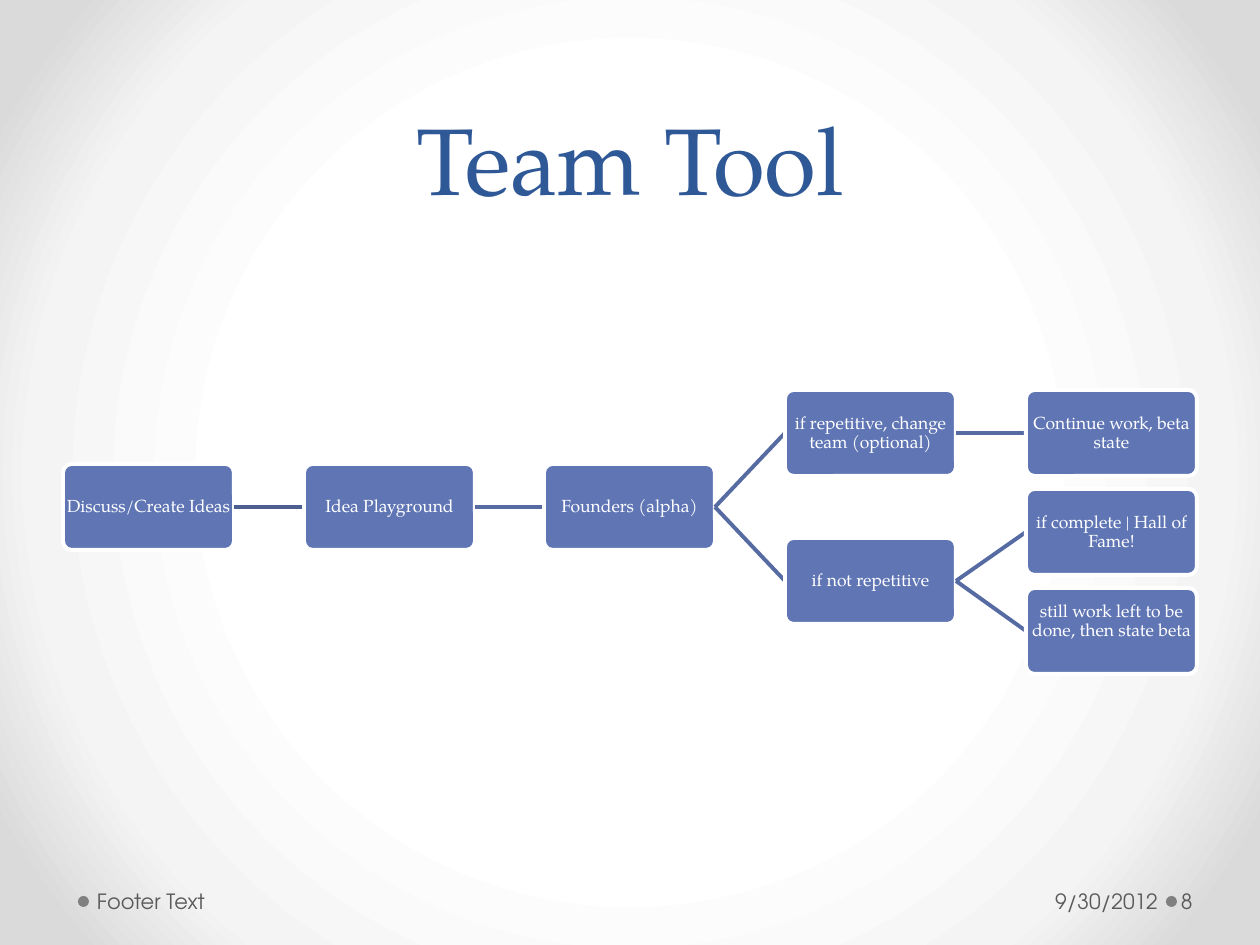
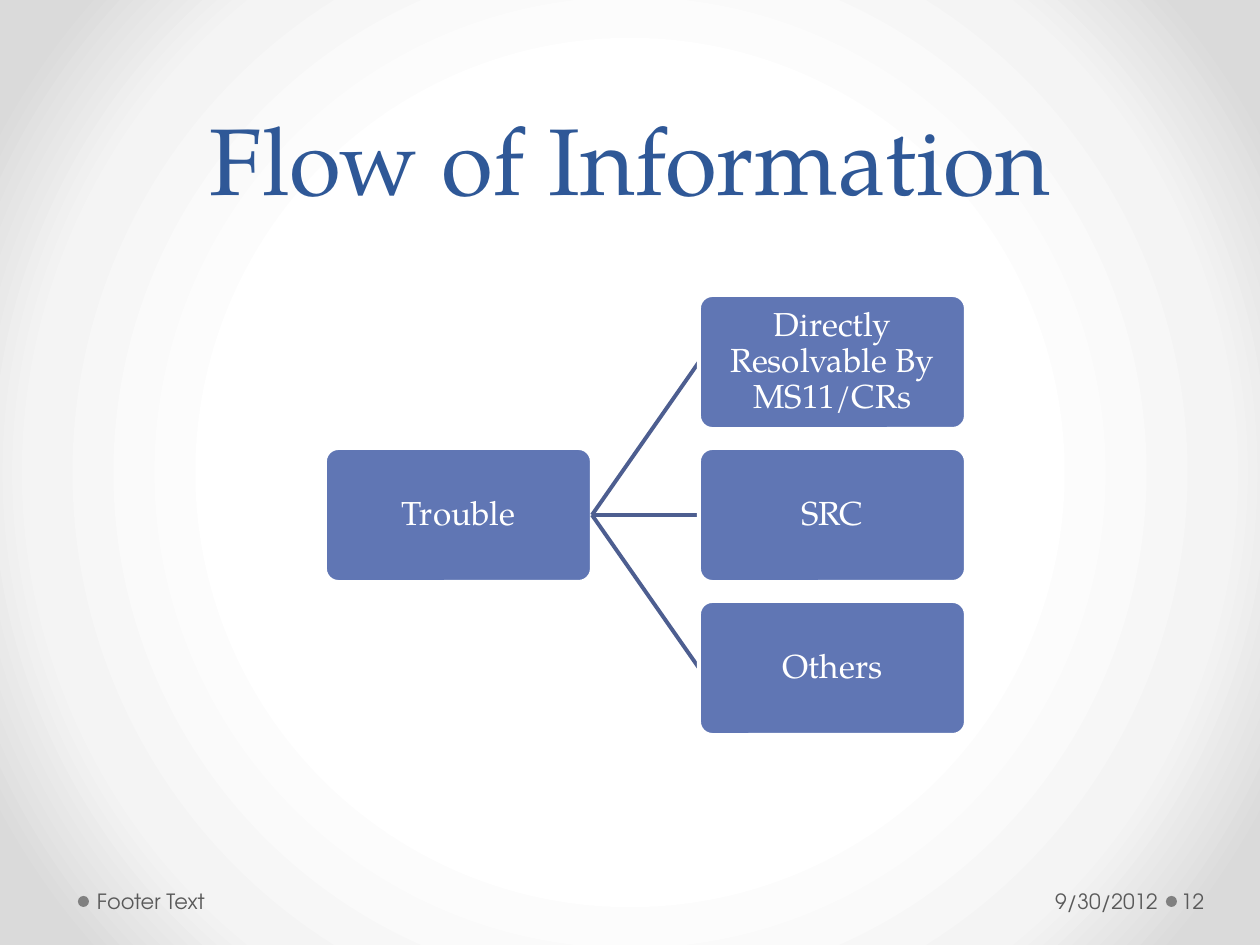
"""Build two slides of branching flow charts."""
from pptx import Presentation
from pptx.dml.color import RGBColor
from pptx.enum.shapes import MSO_CONNECTOR, MSO_SHAPE
from pptx.enum.text import MSO_ANCHOR, PP_ALIGN
from pptx.oxml import parse_xml
from pptx.util import Pt

PX = 914400 // 126
LEFT, MID, RIGHT = PP_ALIGN.LEFT, PP_ALIGN.CENTER, PP_ALIGN.RIGHT
CENTRE, BOTTOM = MSO_ANCHOR.MIDDLE, MSO_ANCHOR.BOTTOM
ROUND, OVAL = MSO_SHAPE.ROUNDED_RECTANGLE, MSO_SHAPE.OVAL
LINE = MSO_CONNECTOR.STRAIGHT
SERIF, SANS = "TeX Gyre Pagella", "TeX Gyre Adventor"
HEX = {
    "title": "2F5897", "box": "6076B4", "white": "FFFFFF", "first": "4D5E90",
    "later": "576BA3", "dot": "808080", "foot": "595959",
    "pale": "F4F4F4", "edge": "DADADA",
}
RGB = {name: RGBColor.from_string(code) for name, code in HEX.items()}
XMLNS = (
    'xmlns:a="http://schemas.openxmlformats.org/drawingml/2006/main" '
    'xmlns:p="http://schemas.openxmlformats.org/presentationml/2006/main"'
)
STOPS = "".join(
    f'<a:gs pos="{pos}000"><a:srgbClr val="{HEX[name]}"/></a:gs>'
    for pos, name in ((50, "white"), (76, "pale"), (92, "edge"))
)
BACK = (
    f"<p:bg {XMLNS}><p:bgPr><a:gradFill><a:gsLst>{STOPS}</a:gsLst>"
    '<a:path path="circle"><a:fillToRect l="50000" t="50000" r="50000" b="50000"/>'
    "</a:path></a:gradFill><a:effectLst/></p:bgPr></p:bg>"
)
CHARTS = [
    {
        "title": "Team Tool", "page": "8", "size": 10, "left": 63, "top": 390,
        "wide": 171, "high": 86, "across": 963 / 4, "down": 99 / 4,
        "nodes": [
            ("Discuss/Create Ideas", 0, 3, None, 0),
            ("Idea Playground", 1, 3, 0, 0),
            ("Founders (alpha)", 2, 3, 1, 0),
            ("if repetitive, change team (optional)", 3, 0, 2, 0),
            ("Continue work, beta state", 4, 0, 3, 0),
            ("if not repetitive", 3, 6, 2, 0),
            ("if complete | Hall of Fame!", 4, 4, 5, 0),
            ("still work left to be done, then state beta", 4, 8, 5, 19),
        ],
    },
    {
        "title": "Flow of Information", "page": "12", "size": 19, "left": 325, "top": 295,
        "wide": 267, "high": 134, "across": 374, "down": 153 / 4,
        "nodes": [
            ("Trouble", 0, 4, None, 0),
            ("Directly Resolvable By MS11/CRs", 1, 0, 0, 0),
            ("SRC", 1, 4, 0, 0),
            ("Others", 1, 8, 0, 0),
        ],
    },
]


def write(shape, text, font, size, tint, align, anchor, pads):
    frame = shape.text_frame
    frame.word_wrap = True
    frame.vertical_anchor = anchor
    frame.margin_left, frame.margin_top, frame.margin_right, frame.margin_bottom = (
        pad * PX for pad in pads)
    para = frame.paragraphs[0]
    para.alignment = align
    run = para.add_run()
    run.text = text
    run.font.name = font
    run.font.size = Pt(size)
    run.font.color.rgb = RGB[tint]
    return para


def shape(slide, kind, place, tint):
    item = slide.shapes.add_shape(kind, *(n * PX for n in place))
    item.shadow.inherit = False
    item.fill.solid()
    item.fill.fore_color.rgb = RGB[tint]
    item.line.fill.background()
    return item


deck = Presentation()
deck.slide_width, deck.slide_height = 1260 * PX, 945 * PX
for chart in CHARTS:
    slide = deck.slides.add_slide(deck.slide_layouts[6])
    slide.element.cSld.insert(0, parse_xml(BACK))
    for left in (1166, 78):
        shape(slide, OVAL, (left, 896, 11, 11), "dot")

    title = slide.shapes.add_textbox(63 * PX, 0, 1134 * PX, 220 * PX)
    para = write(title, chart["title"], SERIF, 54, "title", MID, BOTTOM, (13, 6, 13, 6))
    para.line_spacing = Pt(58)

    wide, high = chart["wide"], chart["high"]
    spots = []
    for text, col, row, source, pad in chart["nodes"]:
        left = round(chart["left"] + col * chart["across"])
        top = round(chart["top"] + row * chart["down"])
        spots.append((left, top))
        if source is not None:
            x, y = spots[source]
            link = slide.shapes.add_connector(
                LINE, (x + wide) * PX, (y + high // 2) * PX, left * PX, (top + high // 2) * PX)
            link.line.color.rgb = RGB["later" if source else "first"]
            link.line.width = Pt(2.25)
            link.element.spPr.append(parse_xml(f"<a:effectLst {XMLNS}/>"))
        box = shape(slide, ROUND, (left, top, wide, high), "box")
        box.adjustments[0] = 0.1
        box.line.color.rgb = RGB["white"]
        box.line.width = Pt(2.25)
        para = write(box, text, SERIF, chart["size"], "white", MID, CENTRE, (0, 1, 0, 1 + pad))
        para.line_spacing = 0.9

    for text, left, width, align, pads in (
        ("9/30/2012", 877, 287, RIGHT, (13, 6, 6, 6)),
        ("Footer Text", 91, 392, LEFT, (6, 6, 13, 6)),
        (chart["page"], 1177, 77, LEFT, (4, 6, 6, 6)),
    ):
        note = slide.shapes.add_textbox(left * PX, 876 * PX, width * PX, 50 * PX)
        write(note, text, SANS, 12, "foot", align, CENTRE, pads)

deck.save("out.pptx")
